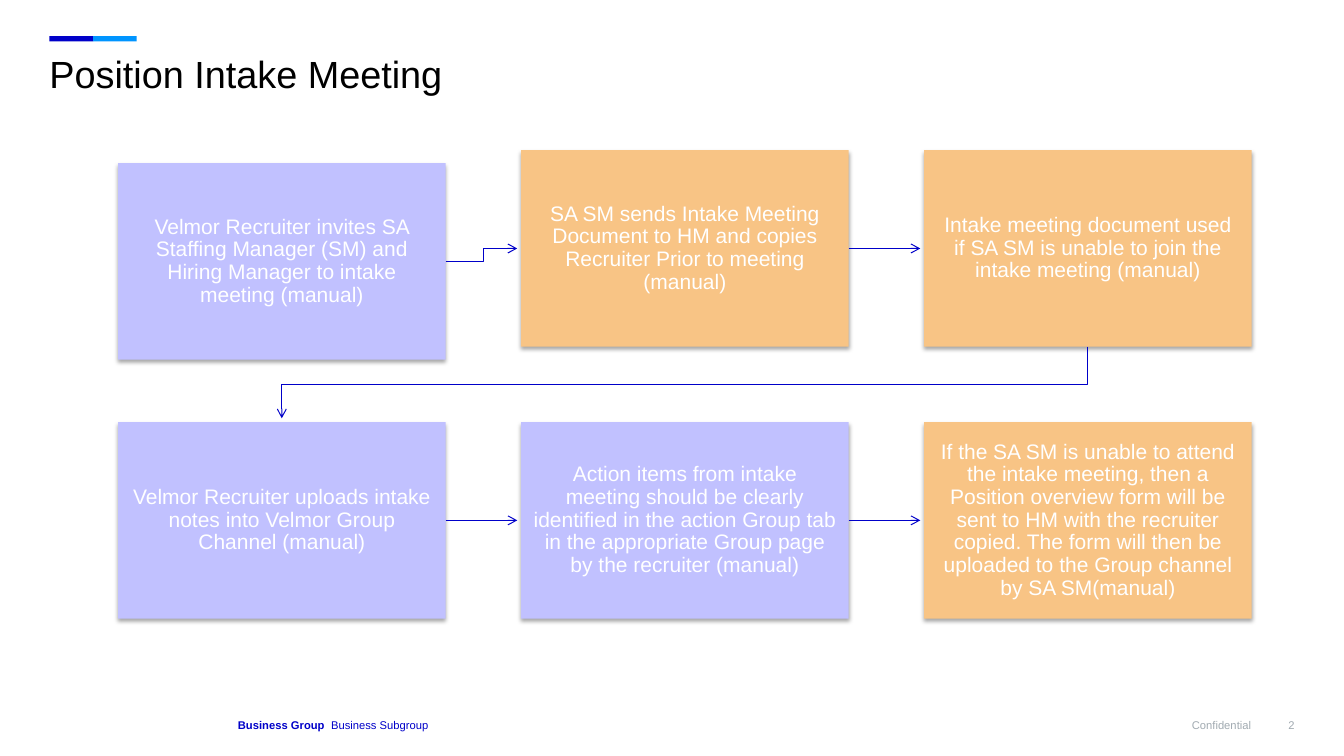
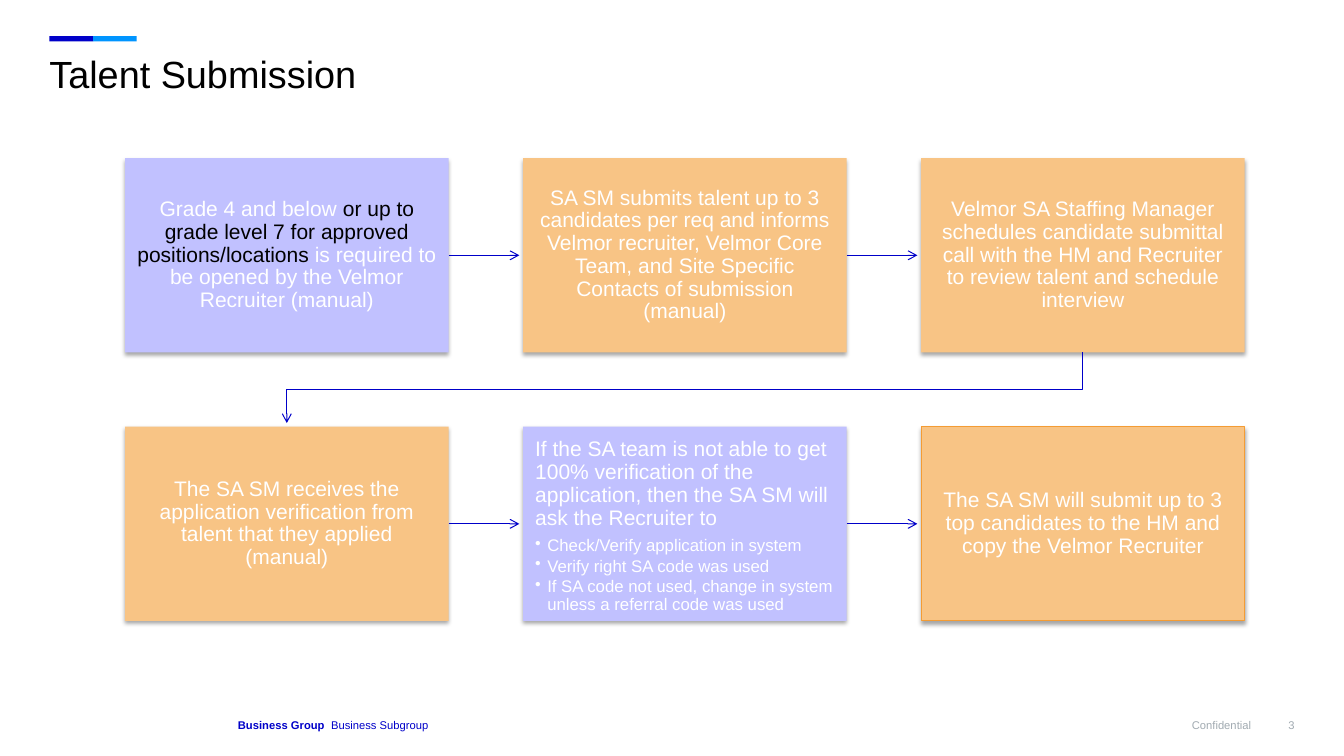
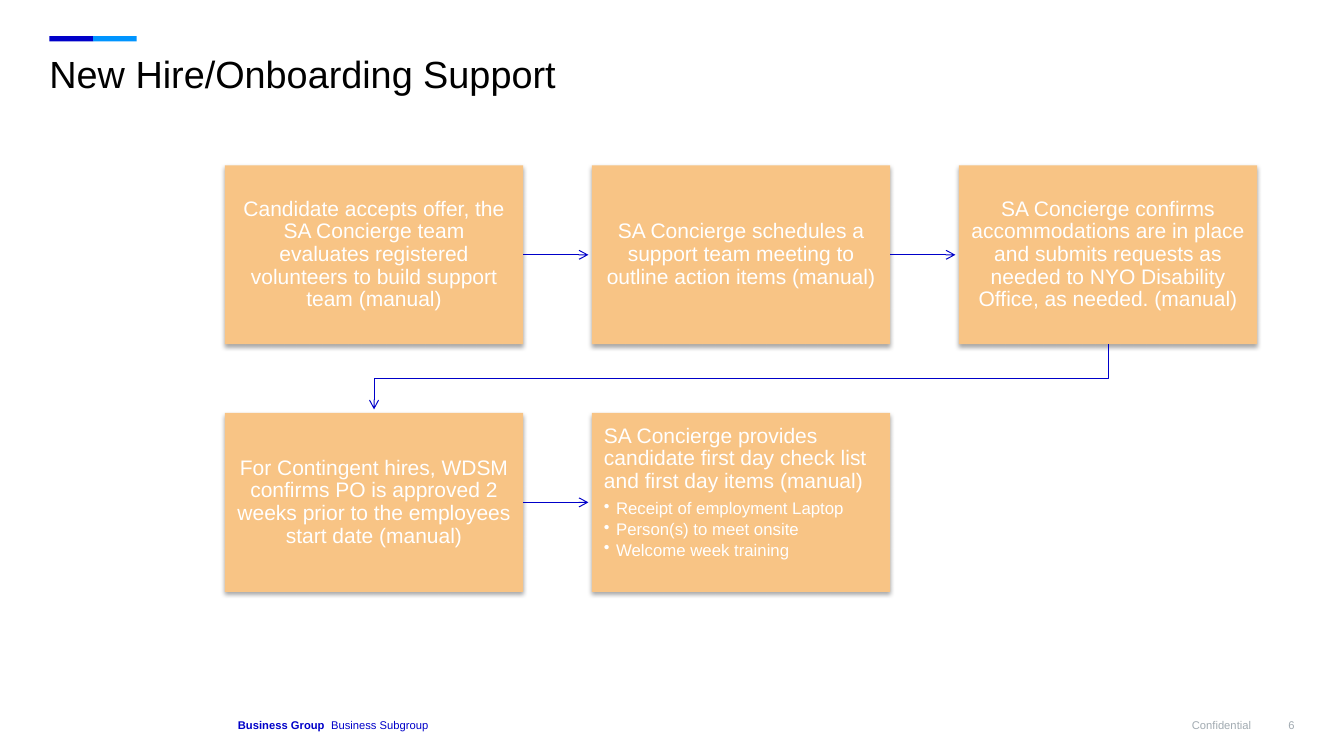
from dataclasses import dataclass
from itertools import pairwise

from lxml import etree
from pptx import Presentation
from pptx import util as u
from pptx.dml.color import RGBColor
from pptx.enum import shapes, text
from pptx.oxml.ns import qn


@dataclass(frozen=True)
class Theme:
    font: str = "Arial"
    # Colours
    navy: str = "0000C9"
    azure: str = "0095FF"
    lilac: str = "C1C1FF"
    peach: str = "F8C485"
    amber: str = "F49C34"
    grey: str = "A1AAB1"
    black: str = "000000"
    white: str = "FFFFFF"
    # Type sizes and line width, in points
    title: int = 27
    body: int = 15
    bullet: int = 12
    footer: int = 8
    line: float = 0.75


T = Theme()


def sub(parent, tag, **attrs):
    return etree.SubElement(parent, qn(tag), {k: str(v) for k, v in attrs.items()})


class Deck:
    """Holds the theme and the current slide; positions are percent of the slide."""

    def __init__(self):
        self.prs = Presentation()
        self.prs.slide_width = u.Inches(13.33)
        self.prs.slide_height = u.Inches(7.5)
        self.s = None

    def x(self, pct):
        return round(self.prs.slide_width * pct / 100)

    def y(self, pct):
        return round(self.prs.slide_height * pct / 100)

    def area(self, left, top, width, height):
        return self.x(left), self.y(top), self.x(width), self.y(height)

    # Text
    def frame(self, sp, anchor, inset_x=0, inset_y=0):
        tf = sp.text_frame
        tf.word_wrap = True
        tf.vertical_anchor = anchor
        tf.margin_left = tf.margin_right = u.Inches(inset_x)
        tf.margin_top = tf.margin_bottom = u.Inches(inset_y)
        return tf

    def para(self, p, runs, size, align=text.PP_ALIGN.LEFT, spacing=0.9, after=0):
        p.alignment, p.line_spacing = align, spacing
        p.space_after = u.Pt(size * after)
        for words, color, bold in runs:
            r = p.add_run()
            r.text = words
            r.font.name, r.font.size, r.font.bold = T.font, u.Pt(size), bold
            r.font.color.rgb = RGBColor.from_string(color)

    def label(self, area, runs, align=text.PP_ALIGN.LEFT):
        sp = self.s.shapes.add_textbox(*self.area(*area))
        tf = self.frame(sp, text.MSO_ANCHOR.BOTTOM)
        self.para(tf.paragraphs[0], runs, T.footer, align)

    # Shapes
    def rect(self, area, fill, border=None):
        sp = self.s.shapes.add_shape(shapes.MSO_SHAPE.RECTANGLE, *area)
        sp.shadow.inherit = False
        sp.fill.solid()
        sp.fill.fore_color.rgb = RGBColor.from_string(fill)
        if border:
            self.stroke(sp, border)
        else:
            sp.line.fill.background()
        return sp

    def stroke(self, sp, color):
        sp.line.color.rgb = RGBColor.from_string(color)
        sp.line.width = u.Pt(T.line)

    def soft_shadow(self, sp):
        effects = sp.element.spPr.find(qn("a:effectLst"))
        shadow = sub(effects, "a:outerShdw", blurRad=u.Pt(3.1), dist=u.Pt(1.8),
                     dir=5400000, algn="ctr", rotWithShape=0)
        sub(sub(shadow, "a:srgbClr", val=T.black), "a:alpha", val=35000)

    def step(self, area, content, fill, bullets=(), border=None):
        sp = self.rect(area, fill, border)
        self.soft_shadow(sp)
        runs = [(content, T.white, False)] if isinstance(content, str) else content
        anchor = text.MSO_ANCHOR.TOP if bullets else text.MSO_ANCHOR.MIDDLE
        align = text.PP_ALIGN.LEFT if bullets else text.PP_ALIGN.CENTER
        tf = self.frame(sp, anchor, 0.12, 0.12)
        self.para(tf.paragraphs[0], runs, T.body, align, after=0.35)
        for item in bullets:
            p = tf.add_paragraph()
            p.level = 1
            self.para(p, [(item, T.white, False)], T.bullet, after=0.15)
            pPr = p._p.get_or_add_pPr()
            pPr.set("marL", str(u.Inches(0.12)))
            pPr.set("indent", str(-u.Inches(0.12)))
            sub(pPr, "a:buChar", char="•")
        return sp

    # Arrows
    def link(self, a, b, reach=0.95):
        """Arrow from step a to step b, stopping just short of b."""
        ax, bx = a.left + a.width // 2, b.left + b.width // 2
        ay, by = a.top + a.height // 2, b.top + b.height // 2
        right, bottom = a.left + a.width, a.top + a.height
        tip_x = right + round((b.left - right) * reach)
        if ay == by:
            sp = self.s.shapes.add_connector(
                shapes.MSO_CONNECTOR.STRAIGHT, right, ay, tip_x, by)
            sp.begin_connect(a, 3)
        elif b.left > right:
            mid = (right + b.left) // 2
            sp = self.polyline([(right, ay), (mid, ay), (mid, by), (tip_x, by)])
        else:
            mid = (bottom + b.top) // 2
            tip_y = bottom + round((b.top - bottom) * reach)
            sp = self.polyline([(ax, bottom), (ax, mid), (bx, mid), (bx, tip_y)])
        self.stroke(sp, T.navy)
        spPr = sp.element.spPr
        sub(spPr.find(qn("a:ln")), "a:tailEnd", type="arrow")
        if spPr.find(qn("a:effectLst")) is None:
            sub(spPr, "a:effectLst")

    def polyline(self, points):
        path = self.s.shapes.build_freeform(*points[0], scale=1.0)
        path.add_line_segments(points[1:], close=False)
        sp = path.convert_to_shape()
        sp.shadow.inherit = False
        sp.fill.background()
        return sp

    # Slide parts
    def slide(self, title, number):
        self.s = self.prs.slides.add_slide(self.prs.slide_layouts[6])
        for i, color in enumerate((T.navy, T.azure)):
            self.rect(self.area(3.68 + i * 3.25, 4.8, 3.25, 0.67), color)
        sp = self.s.shapes.add_textbox(*self.area(3.68, 7, 92.65, 12.4))
        tf = self.frame(sp, text.MSO_ANCHOR.TOP, 0, 0.05)
        self.para(tf.paragraphs[0], [(title, T.black, False)], T.title, spacing=0.85)
        self.label((17.7, 91.87, 30.61, 4.93), [("Business Group ", T.navy, True),
                                                (" Business Subgroup", T.navy, False)])
        for left, width, words in ((49.21, 43.89, "Confidential"), (93.32, 3, number)):
            self.label((left, 91.87, width, 4.93), [(words, T.grey, False)],
                       text.PP_ALIGN.RIGHT)

    def flow(self, left, top, width, steps, columns=3):
        """Linked steps in rows; height and gap follow from the width."""
        x0, y0, w = self.x(left), self.y(top), self.x(width)
        h, gap = round(w * 0.6), round(w * 0.23)
        boxes = []
        for i, step in enumerate(steps):
            row, col = divmod(i, columns)
            drop = self.y(step.pop("drop", 0))
            area = x0 + col * (w + gap), y0 + row * (h + gap) + drop, w, h
            boxes.append(self.step(area, **step))
        for a, b in pairwise(boxes):
            self.link(a, b)


def recruiter(content, **options):
    return dict(content=content, fill=T.lilac, **options)


def staffing(content, **options):
    return dict(content=content, fill=T.peach, **options)


def main():
    deck = Deck()

    # Intake meeting
    deck.slide("Position Intake Meeting", "2")
    deck.flow(8.78, 19.87, 24.38, [
        recruiter("Velmor Recruiter invites SA Staffing Manager (SM) and Hiring Manager "
                  "to intake meeting (manual)", drop=1.7),
        staffing("SA SM sends Intake Meeting Document to HM and copies Recruiter Prior "
                 "to meeting (manual)"),
        staffing("Intake meeting document used if SA SM is unable to join the intake "
                 "meeting (manual)"),
        recruiter("Velmor Recruiter uploads intake notes into Velmor Group Channel "
                  "(manual)"),
        recruiter("Action items from intake meeting should be clearly identified in the "
                  "action Group tab in the appropriate Group page by the recruiter "
                  "(manual)"),
        staffing("If the SA SM is unable to attend the intake meeting, then a Position "
                 "overview form will be sent to HM with the recruiter copied. The form "
                 "will then be uploaded to the Group channel by SA SM(manual)"),
    ])

    # Talent submission
    deck.slide("Talent Submission", "3")
    deck.flow(9.3, 20.93, 24.08, [
        recruiter([
            ("Grade 4 and below ", T.white, False),
            ("or up to grade level 7 for approved positions/locations", T.black, False),
            (" is required to be opened by the Velmor Recruiter (manual)", T.white, False),
        ]),
        staffing("SA SM submits talent up to 3 candidates per req and informs Velmor "
                 "recruiter, Velmor Core Team, and Site Specific Contacts of submission "
                 "(manual)"),
        staffing("Velmor SA Staffing Manager schedules candidate submittal call with the "
                 "HM and Recruiter to review talent and schedule interview"),
        staffing("The SA SM receives the application verification from talent that they "
                 "applied (manual)"),
        recruiter("If the SA team is not able to get 100% verification of the "
                  "application, then the SA SM will ask the Recruiter to",
                  bullets=("Check/Verify application in system",
                           "Verify right SA code was used",
                           "If SA code not used, change in system unless a referral "
                           "code was used")),
        staffing("The SA SM will submit up to 3 top candidates to the HM and copy the "
                 "Velmor Recruiter", border=T.amber),
    ])

    # Onboarding
    deck.slide("New Hire/Onboarding Support", "6")
    deck.flow(16.73, 21.87, 22.2, [
        staffing("Candidate accepts offer, the SA Concierge team evaluates registered "
                 "volunteers to build support team (manual)"),
        staffing("SA Concierge schedules a support team meeting to outline action items "
                 "(manual)"),
        staffing("SA Concierge confirms accommodations are in place and submits requests "
                 "as needed to NYO Disability Office, as needed. (manual)"),
        staffing("For Contingent hires, WDSM confirms PO is approved 2 weeks prior to "
                 "the employees start date (manual)"),
        staffing("SA Concierge provides candidate first day check list and first day "
                 "items (manual)",
                 bullets=("Receipt of employment Laptop", "Person(s) to meet onsite",
                          "Welcome week training")),
    ])

    deck.prs.save("out.pptx")


if __name__ == "__main__":
    main()
